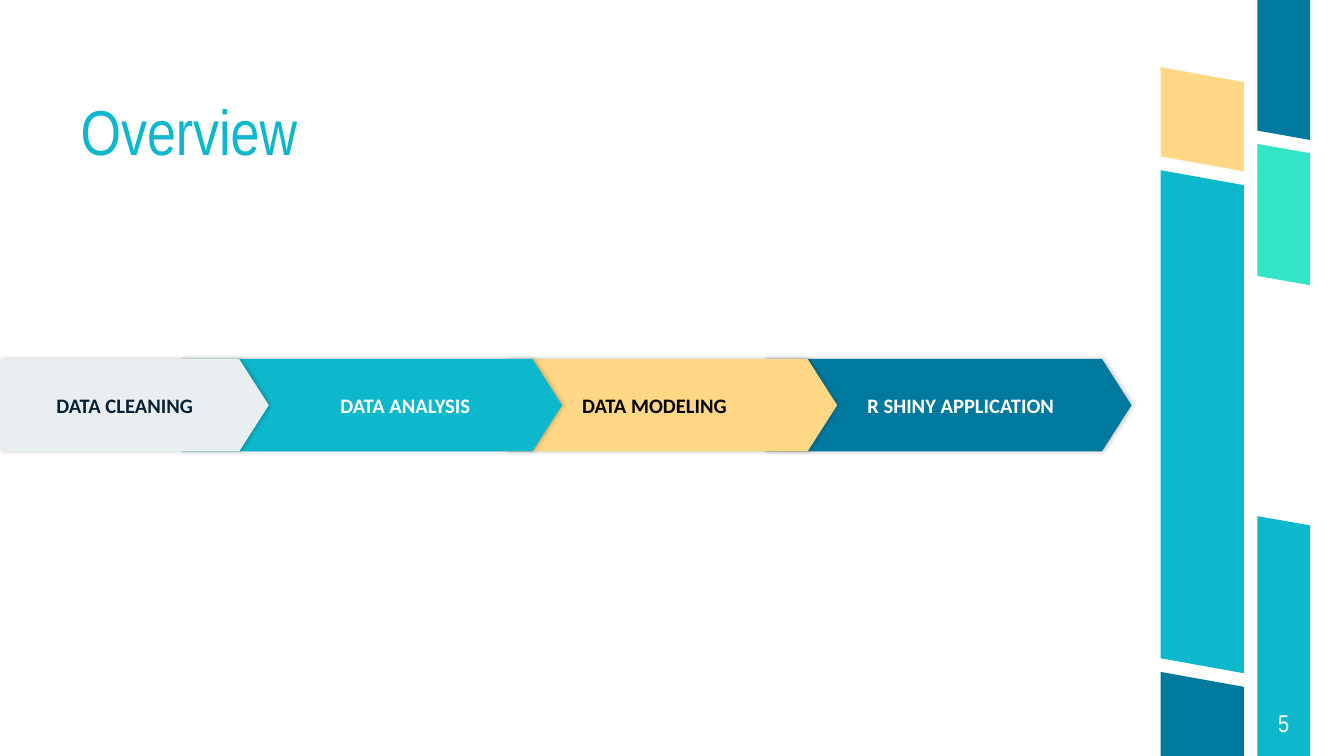
from lxml import etree
from pptx import Presentation
from pptx.dml.color import RGBColor
from pptx.enum.shapes import MSO_SHAPE
from pptx.enum.text import MSO_ANCHOR, MSO_AUTO_SIZE, PP_ALIGN
from pptx.oxml.ns import qn
from pptx.util import Pt

PENTAGON = MSO_SHAPE.PENTAGON
MIDDLE, BOTTOM = MSO_ANCHOR.MIDDLE, MSO_ANCHOR.BOTTOM
LEFT, CENTER = PP_ALIGN.LEFT, PP_ALIGN.CENTER
NO_AUTOFIT = MSO_AUTO_SIZE.NONE

# Content
TITLE = "Overview"
PAGE_NUMBER = "5"
STEPS = [
    dict(text="DATA CLEANING", left=0, width=144, fill="pale", color="ink",
         inset=21.6, indent=8.64, align=LEFT),
    dict(text="DATA ANALYSIS", left=97.2, width=203.9, fill="teal", color="white",
         inset=21.6, indent=22.3, align=CENTER),
    dict(text="DATA MODELING", left=271.5, width=177, fill="sand", color="black",
         inset=31.7, indent=8.64, align=LEFT),
    dict(text="R SHINY APPLICATION", left=409.7, width=196.5, fill="blue", color="white",
         inset=21.6, indent=0, align=CENTER),
]

# Theme
THEME = {
    "colors": {"teal": "0DB8CC", "mint": "32E4C8", "blue": "00799E", "sand": "FFD785",
               "pale": "E9EEF0", "ink": "062133", "white": "FFFFFF", "black": "000000"},
    "fonts": {"heading": "Arial Narrow", "label": "Calibri"},
    "sizes": {"title": 34, "label": 11, "page": 13},
}

# Layout, in points
SLIDE_WIDTH, SLIDE_HEIGHT = 720, 405
STEP_TOP, STEP_HEIGHT, STEP_POINT = 192.3, 49.6, 0.32
COLUMNS = {"inner": dict(left=621.8, width=44.6, slope=8),
           "outer": dict(left=673.6, width=28.2, slope=5)}
# Column, colour, top and bottom on the left side; slide edges stay level
BANDS = [
    ("outer", "teal", 276.5, SLIDE_HEIGHT),
    ("outer", "mint", 77.1, 147.8),
    ("outer", "blue", 0, 70),
    ("inner", "sand", 36, 83.8),
    ("inner", "blue", 360, SLIDE_HEIGHT),
    ("inner", "teal", 91.2, 352.7),
]


def theme_color(name):
    return RGBColor.from_string(THEME["colors"][name])


def fill_shape(shape, color):
    shape.fill.solid()
    shape.fill.fore_color.rgb = theme_color(color)
    shape.line.fill.background()
    shape.shadow.inherit = False


def write_text(shape, text, size, font="heading", color="white", bold=False, align=LEFT,
               anchor=MIDDLE, inset=0, indent=0, line_spacing=1.0):
    frame = shape.text_frame
    frame.word_wrap = True
    frame.auto_size = NO_AUTOFIT
    frame.vertical_anchor = anchor
    frame.margin_left = Pt(inset)
    frame.margin_top = frame.margin_right = frame.margin_bottom = 0
    paragraph = frame.paragraphs[0]
    paragraph.alignment = align
    paragraph.line_spacing = line_spacing
    if indent:
        properties = paragraph._p.get_or_add_pPr()
        properties.set("marL", "0")
        properties.set("indent", str(Pt(indent)))
    run = paragraph.add_run()
    run.text = text
    run.font.name = THEME["fonts"][font]
    run.font.size = Pt(THEME["sizes"][size])
    run.font.bold = bold
    run.font.color.rgb = theme_color(color)


def add_soft_shadow(shape):
    effects = shape._element.spPr.find(qn("a:effectLst"))
    shadow = etree.SubElement(effects, qn("a:outerShdw"), blurRad=str(Pt(2.2)),
                              dist=str(Pt(0.8)), dir="0", rotWithShape="0")
    color = etree.SubElement(shadow, qn("a:srgbClr"), val=THEME["colors"]["black"])
    etree.SubElement(color, qn("a:alpha"), val="20000")


def add_band(slide, column, color, top, bottom):
    left, width, slope = (COLUMNS[column][key] for key in ("left", "width", "slope"))
    right = left + width
    right_top = top + slope if top > 0 else top
    right_bottom = min(bottom + slope, SLIDE_HEIGHT)
    corners = [(left, top), (right, right_top), (right, right_bottom), (left, bottom)]
    points = [(Pt(x), Pt(y)) for x, y in corners]
    builder = slide.shapes.build_freeform(*points[0])
    builder.add_line_segments(points[1:], close=True)
    fill_shape(builder.convert_to_shape(), color)


def add_step(slide, text, left, width, fill, **text_format):
    shape = slide.shapes.add_shape(PENTAGON, Pt(left), Pt(STEP_TOP), Pt(width), Pt(STEP_HEIGHT))
    shape.adjustments[0] = STEP_POINT
    fill_shape(shape, fill)
    add_soft_shadow(shape)
    write_text(shape, text, "label", font="label", bold=True, **text_format)


def main():
    presentation = Presentation()
    presentation.slide_width, presentation.slide_height = Pt(SLIDE_WIDTH), Pt(SLIDE_HEIGHT)
    slide = presentation.slides.add_slide(presentation.slide_layouts[5])

    # Slanted bands on the right
    for band in BANDS:
        add_band(slide, *band)

    # Title
    title = slide.shapes.title
    title.left, title.top, title.width, title.height = Pt(43.2), Pt(59.8), Pt(481), Pt(31)
    write_text(title, TITLE, "title", color="teal", anchor=BOTTOM, line_spacing=0.9)

    # Page number, centred on the outer column
    column = COLUMNS["outer"]
    page_box = slide.shapes.add_textbox(Pt(column["left"]), Pt(369.4), Pt(column["width"]), Pt(36))
    write_text(page_box, PAGE_NUMBER, "page", align=CENTER)

    # Process steps, each earlier one lying over the next
    for step in reversed(STEPS):
        add_step(slide, **step)

    presentation.save("out.pptx")


if __name__ == "__main__":
    main()
